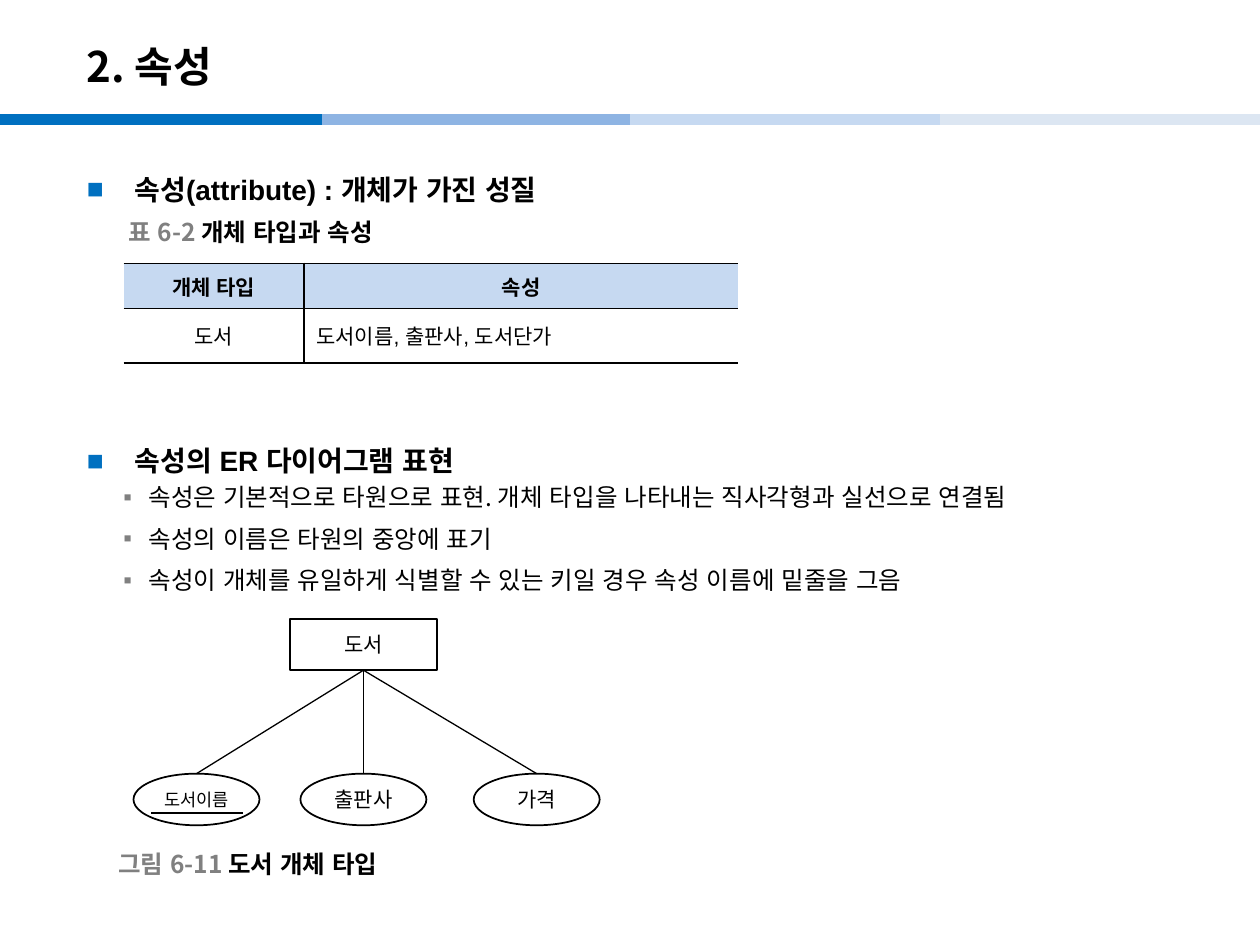
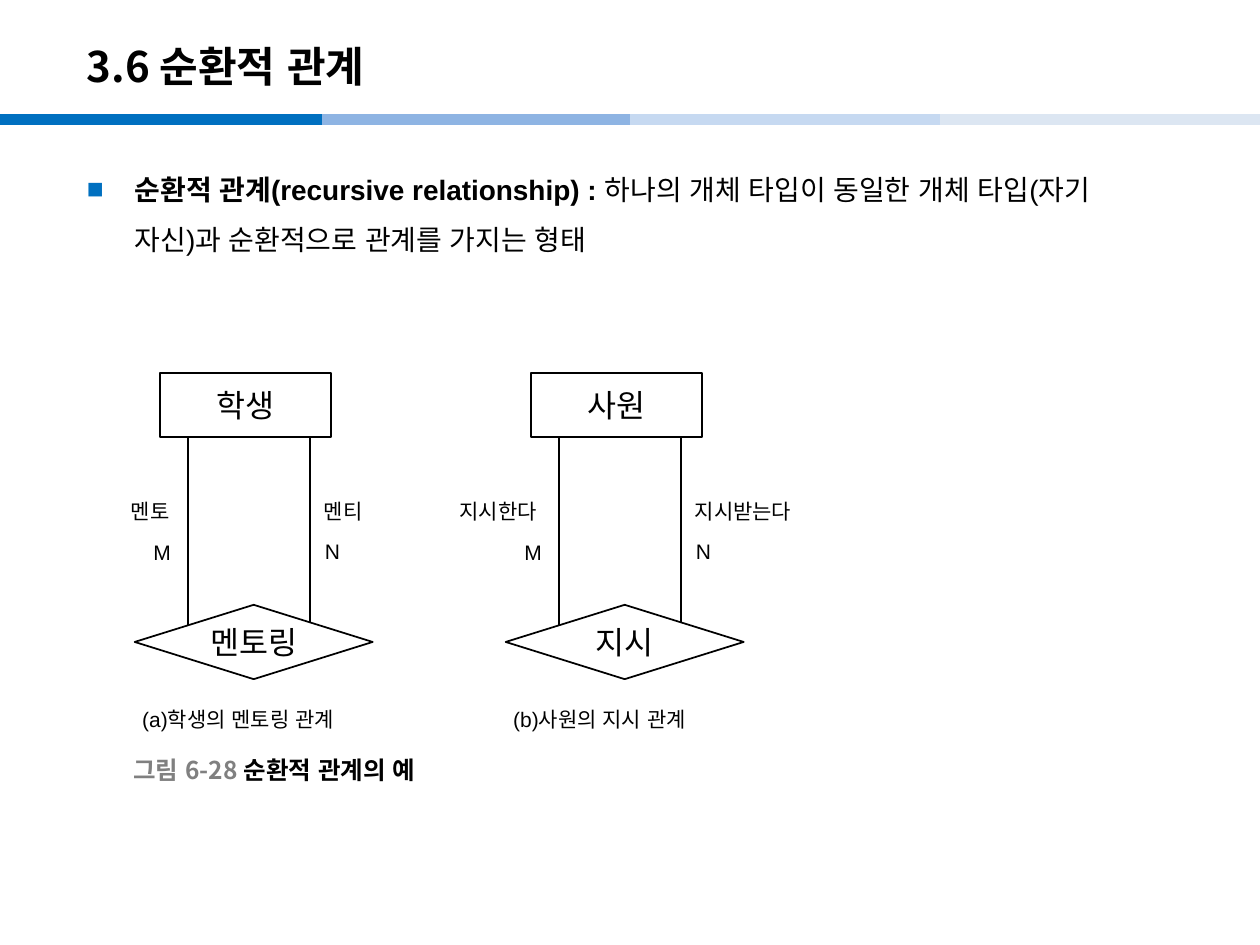
from dataclasses import dataclass
from typing import NamedTuple

from lxml import etree
from pptx import Presentation
from pptx.dml.color import RGBColor
from pptx.enum.lang import MSO_LANGUAGE_ID
from pptx.enum.shapes import MSO_CONNECTOR, MSO_SHAPE
from pptx.enum.text import MSO_ANCHOR, PP_ALIGN
from pptx.oxml.ns import qn
from pptx.util import Pt

STRAIGHT = MSO_CONNECTOR.STRAIGHT
RECTANGLE, ELLIPSE = MSO_SHAPE.RECTANGLE, MSO_SHAPE.OVAL
DECISION = MSO_SHAPE.FLOWCHART_DECISION
LEFT, CENTER, JUSTIFY = PP_ALIGN.LEFT, PP_ALIGN.CENTER, PP_ALIGN.JUSTIFY
TOP, MIDDLE = MSO_ANCHOR.TOP, MSO_ANCHOR.MIDDLE
KOREAN = MSO_LANGUAGE_ID.KOREAN
TOP_SIDE, BOTTOM_SIDE = 0, 2


@dataclass(frozen=True)
class Theme:
    latin: str = "Arial"
    korean: str = "Noto Sans CJK KR"
    ink: str = "000000"
    paper: str = "FFFFFF"
    accent: str = "0070C0"
    muted: str = "808080"
    header: str = "C6D9F1"
    title: float = 24
    entity: float = 18
    heading: float = 16
    body: float = 14
    label: float = 12
    small: float = 10
    outline: float = 1
    thin: float = 0.75
    band: float = 6


THEME = Theme()


class Box(NamedTuple):
    x: float
    y: float
    w: float
    h: float


class Run(NamedTuple):
    text: str
    size: float
    bold: bool = False
    font: str = THEME.korean
    color: str = THEME.ink


class Level(NamedTuple):
    char: str
    color: str
    indent: float
    hang: float
    pitch: float
    before: float
    after: float
    align: PP_ALIGN


class Item(NamedTuple):
    level: Level
    runs: list[Run]


class Band(NamedTuple):
    start: float
    end: float
    color: str


class Attribute(NamedTuple):
    name: str
    x: float
    size: float


class Recursion(NamedTuple):
    shift: float
    entity: str
    relation: str
    left_role: str
    left_role_x: float
    left_role_w: float
    right_role: str
    right_role_w: float
    caption: str


HEADING = Level("■", THEME.accent, 27.4, 27.4, 28.6, 0, 0, LEFT)
DETAIL = Level("▪", THEME.muted, 35.3, 14.4, 16.8, 2.8, 4, JUSTIFY)

BANDS = [
    Band(0, 184.3, THEME.accent),
    Band(184.3, 368.6, "8EB4E3"),
    Band(360, 544.3, THEME.header),
    Band(537.1, 720, "DCE6F2"),
]
BAND_Y = 68.4
BODY_X, BODY_Y, BODY_W = 42.5, 85.7, 610

ATTRIBUTES = [
    Attribute("도서이름", 76.3, THEME.small),
    Attribute("출판사", 171.7, THEME.label),
    Attribute("가격", 270.7, THEME.label),
]
RECURSIONS = [
    Recursion(0, "학생", "멘토링", "멘토", 67.7, 38.9, "멘티", 38.9,
              "(a)학생의 멘토링 관계"),
    Recursion(212, "사원", "지시", "지시한다", 255.6, 63.4, "지시받는다", 74.9,
              "(b)사원의 지시 관계"),
]
TABLE_COLUMNS = [103, 248.4]
TABLE_ROWS = [25.9, 31]
TABLE_TEXT = [["개체 타입", "속성"], ["도서", "도서이름, 출판사, 도서단가"]]


def rgb(color: str) -> RGBColor:
    return RGBColor.from_string(color)


def add_run(paragraph, spec: Run) -> None:
    run = paragraph.add_run()
    run.text = spec.text
    font = run.font
    font.size, font.bold, font.name = Pt(spec.size), spec.bold, spec.font
    font.color.rgb = rgb(spec.color)
    font.language_id = KOREAN
    latin = run._r.rPr.find(qn("a:latin"))
    east_asian = etree.Element(qn("a:ea"), typeface=THEME.korean)
    latin.addnext(east_asian)


def place(box: Box) -> list[int]:
    return [Pt(length) for length in box]


def add_text(slide, box: Box, runs: list[Run], wrap: bool = False) -> None:
    frame = slide.shapes.add_textbox(*place(box)).text_frame
    frame.word_wrap = wrap
    frame.vertical_anchor = MIDDLE
    for run in runs:
        add_run(frame.paragraphs[0], run)


def add_caption(slide, x: float, y: float, number: str, text: str) -> None:
    add_text(slide, Box(x, y, 200, 22.3),
             [Run(number + " ", THEME.body, True, color=THEME.muted),
              Run(text, THEME.body, True)], True)


def add_label(slide, x: float, y: float, width: float, text: str) -> None:
    add_text(slide, Box(x, y, width, 21.6), [Run(text, THEME.label, font=THEME.latin)])


def add_outline(slide, box: Box, items: list[Item]) -> None:
    frame = slide.shapes.add_textbox(*place(box)).text_frame
    frame.word_wrap = True
    frame.vertical_anchor = TOP
    for index, (level, runs) in enumerate(items):
        paragraph = frame.add_paragraph() if index else frame.paragraphs[0]
        paragraph.alignment = level.align
        paragraph.line_spacing = Pt(level.pitch)
        paragraph.space_before = Pt(level.before)
        paragraph.space_after = Pt(level.after)
        properties = paragraph._p.get_or_add_pPr()
        properties.set("marL", str(Pt(level.indent)))
        properties.set("indent", str(-Pt(level.hang)))
        tint = etree.SubElement(properties, qn("a:buClr"))
        etree.SubElement(tint, qn("a:srgbClr"), val=level.color)
        etree.SubElement(properties, qn("a:buFont"), typeface=THEME.latin)
        etree.SubElement(properties, qn("a:buChar"), char=level.char)
        for run in runs:
            add_run(paragraph, run)


def add_node(slide, kind: MSO_SHAPE, box: Box, text: str, size: float):
    node = slide.shapes.add_shape(kind, *place(box))
    node.shadow.inherit = False
    node.fill.solid()
    node.fill.fore_color.rgb = rgb(THEME.paper)
    node.line.color.rgb = rgb(THEME.ink)
    node.line.width = Pt(THEME.outline)
    frame = node.text_frame
    frame.word_wrap = False
    frame.vertical_anchor = MIDDLE
    frame.margin_left = frame.margin_right = frame.margin_top = frame.margin_bottom = 0
    frame.paragraphs[0].alignment = CENTER
    add_run(frame.paragraphs[0], Run(text, size))
    return node


def add_line(slide, x1: float, y1: float, x2: float, y2: float,
             width: float = THEME.outline, color: str = THEME.ink):
    line = slide.shapes.add_connector(STRAIGHT, Pt(x1), Pt(y1), Pt(x2), Pt(y2))
    line.line.color.rgb = rgb(color)
    line.line.width = Pt(width)
    etree.SubElement(line._element.spPr, qn("a:effectLst"))
    return line


def set_borders(cell, visible: dict[str, bool]) -> None:
    properties = cell._tc.get_or_add_tcPr()
    for index, (side, shown) in enumerate(visible.items()):
        border = etree.Element(qn("a:ln" + side), w=str(Pt(THEME.outline)))
        if shown:
            fill = etree.SubElement(border, qn("a:solidFill"))
            etree.SubElement(fill, qn("a:srgbClr"), val=THEME.ink)
        else:
            etree.SubElement(border, qn("a:noFill"))
        properties.insert(index, border)


def add_attribute_table(slide) -> None:
    box = Box(70.6, 150.5, sum(TABLE_COLUMNS), sum(TABLE_ROWS))
    table = slide.shapes.add_table(len(TABLE_ROWS), len(TABLE_COLUMNS), *place(box)).table
    table.first_row = table.horz_banding = False
    for column, width in zip(table.columns, TABLE_COLUMNS):
        column.width = Pt(width)
    for r, height in enumerate(TABLE_ROWS):
        table.rows[r].height = Pt(height)
        for c, text in enumerate(TABLE_TEXT[r]):
            cell = table.cell(r, c)
            is_header = r == 0
            cell.fill.solid()
            cell.fill.fore_color.rgb = rgb(THEME.header if is_header else THEME.paper)
            cell.vertical_anchor = MIDDLE
            paragraph = cell.text_frame.paragraphs[0]
            paragraph.alignment = CENTER if is_header or c == 0 else LEFT
            add_run(paragraph, Run(text, THEME.label, is_header, THEME.latin))
            set_borders(cell, {"L": c > 0, "R": c == 0, "T": True, "B": True})


def add_page(deck, title: str):
    slide = deck.slides.add_slide(deck.slide_layouts[6])
    for band in BANDS:
        add_line(slide, band.start, BAND_Y, band.end, BAND_Y, THEME.band, band.color)
    add_text(slide, Box(BODY_X, 15.8, 595.4, 43.2), [Run(title, THEME.title, True)], True)
    return slide


def heading(text: str) -> Run:
    return Run(text, THEME.heading, True, THEME.latin)


def draw_entity_attributes(slide) -> None:
    entity = add_node(slide, RECTANGLE, Box(165.6, 353.5, 84.2, 29.5), "도서", THEME.label)
    for attribute in ATTRIBUTES:
        oval = add_node(slide, ELLIPSE, Box(attribute.x, 442.1, 72, 29.5),
                        attribute.name, attribute.size)
        link = add_line(slide, 207.7, 383, attribute.x + 36, 442.1, THEME.thin)
        link.begin_connect(entity, BOTTOM_SIDE)
        link.end_connect(oval, TOP_SIDE)
    add_line(slide, 86.4, 464.4, 139, 464.4)


def draw_recursion(slide, figure: Recursion) -> None:
    dx = figure.shift
    add_node(slide, RECTANGLE, Box(91.4 + dx, 213.1, 97.9, 36.7), figure.entity, THEME.entity)
    for leg_x in (107.3 + dx, 177.1 + dx):
        add_line(slide, leg_x, 249.8, leg_x, 357.8)
    add_node(slide, DECISION, Box(77 + dx, 345.6, 136, 42.5), figure.relation, THEME.entity)
    add_label(slide, figure.left_role_x, 281.5, figure.left_role_w, figure.left_role)
    add_label(slide, 178 + dx, 281.5, figure.right_role_w, figure.right_role)
    add_label(slide, 80.6 + dx, 304.6, 25.9, "M")
    add_label(slide, 178.6 + dx, 304, 23.8, "N")
    add_label(slide, 74.2 + dx, 400.3, 133.9, figure.caption)


def build_attribute_slide(deck) -> None:
    slide = add_page(deck, "2. 속성")
    add_outline(slide, Box(BODY_X, BODY_Y, BODY_W, 36),
                [Item(HEADING, [heading("속성(attribute) : 개체가 가진 성질")])])
    details = [
        "속성은 기본적으로 타원으로 표현. 개체 타입을 나타내는 직사각형과 실선으로 연결됨",
        "속성의 이름은 타원의 중앙에 표기",
        "속성이 개체를 유일하게 식별할 수 있는 키일 경우 속성 이름에 밑줄을 그음",
    ]
    add_outline(slide, Box(BODY_X, 240.6, BODY_W, 108),
                [Item(HEADING, [heading("속성의 ER 다이어그램 표현")])]
                + [Item(DETAIL, [Run(text, THEME.body)]) for text in details])
    add_attribute_table(slide)
    draw_entity_attributes(slide)
    add_caption(slide, 60.5, 482.4, "그림 6-11", "도서 개체 타입")
    add_caption(slide, 66.2, 121, "표 6-2", "개체 타입과 속성")


def build_recursion_slide(deck) -> None:
    slide = add_page(deck, "3.6 순환적 관계")
    definition = "하나의 개체 타입이 동일한 개체 타입(자기 자신)과 순환적으로 관계를 가지는 형태"
    add_outline(slide, Box(BODY_X, BODY_Y, BODY_W, 72),
                [Item(HEADING, [heading("순환적 관계(recursive relationship) : "),
                                Run(definition, THEME.heading, font=THEME.latin)])])
    for figure in RECURSIONS:
        draw_recursion(slide, figure)
    add_caption(slide, 69.1, 428.4, "그림 6-28", "순환적 관계의 예")


def main() -> None:
    deck = Presentation()
    deck.slide_width, deck.slide_height = Pt(720), Pt(540)
    build_attribute_slide(deck)
    build_recursion_slide(deck)
    deck.save("out.pptx")


if __name__ == "__main__":
    main()
